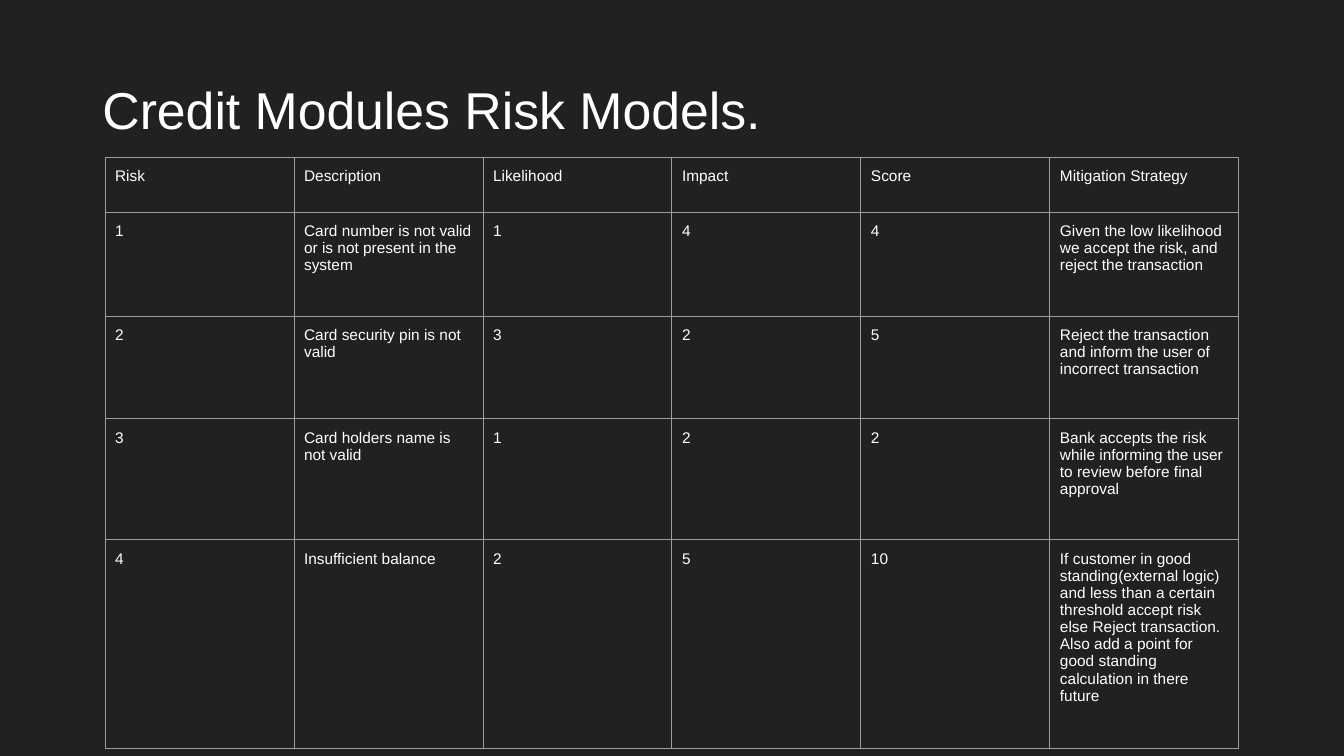
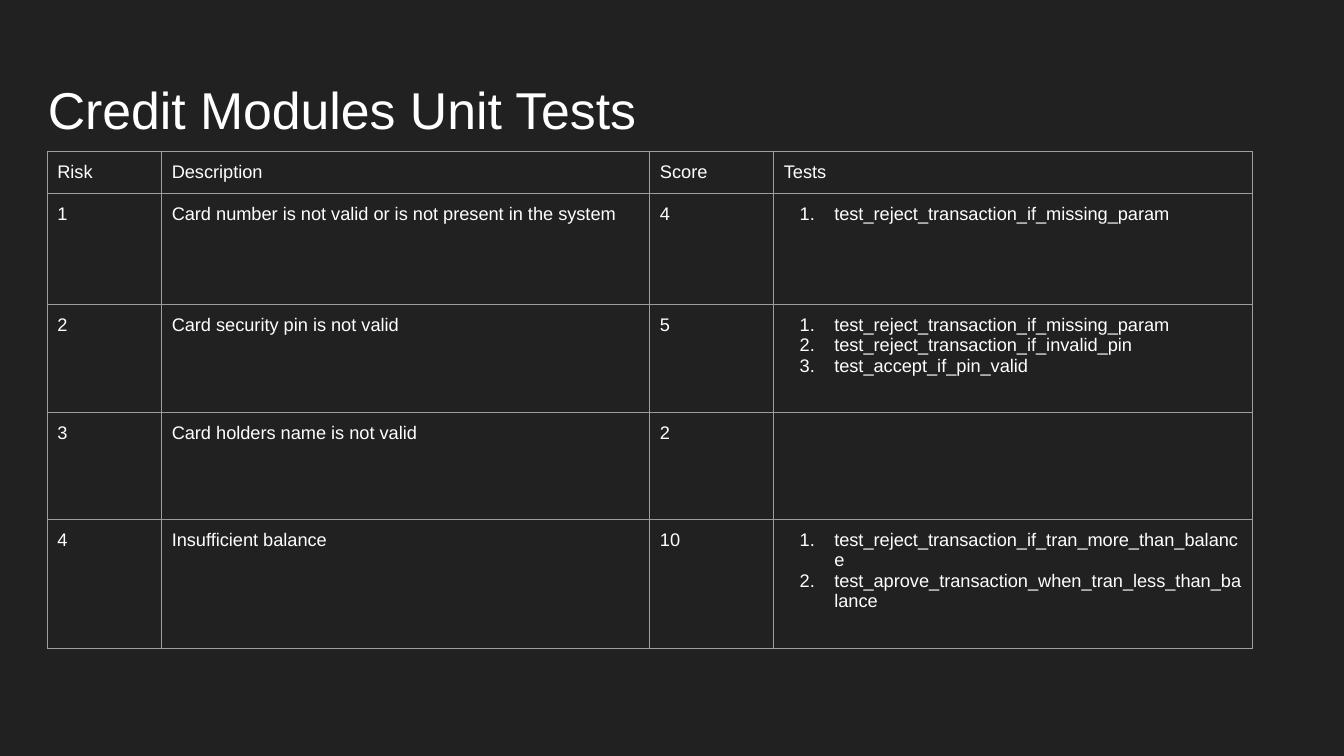
from dataclasses import dataclass

from lxml.etree import SubElement
from pptx import Presentation
from pptx.dml.color import RGBColor
from pptx.enum.text import MSO_ANCHOR, PP_ALIGN
from pptx.oxml.ns import qn
from pptx.util import Emu, Pt

EMU_PER_PX = 9525
TITLE_ONLY_LAYOUT = 5


@dataclass(frozen=True)
class Theme:
    background: str = "212121"
    text: str = "FFFFFF"
    border: str = "9E9E9E"
    font: str = "Arial"
    title_size: int = 37
    border_width: float = 0.75
    cell_margin: int = 10
    list_margin: int = 48
    list_hanging: int = 33


THEME = Theme()

RISK_ROWS = [
    ["Risk", "Description", "Likelihood", "Impact", "Score", "Mitigation Strategy"],
    ["1", "Card number is not valid or is not present in the system", "1", "4", "4",
     "Given the low likelihood we accept the risk, and reject the transaction"],
    ["2", "Card security pin is not valid", "3", "2", "5",
     "Reject the transaction and inform the user of incorrect transaction"],
    ["3", "Card holders name is not valid", "1", "2", "2",
     "Bank accepts the risk while informing the user to review before final approval"],
    ["4", "Insufficient balance", "2", "5", "10",
     "If customer in good standing(external logic) and less than a certain threshold "
     "accept risk else Reject transaction. Also add a point for good standing "
     "calculation in there future"],
]

# A list in a cell becomes a numbered list
TEST_ROWS = [
    ["Risk", "Description", "Score", "Tests"],
    ["1", "Card number is not valid or is not present in the system", "4",
     ["test_reject_transaction_if_missing_param"]],
    ["2", "Card security pin is not valid", "5",
     ["test_reject_transaction_if_missing_param",
      "test_reject_transaction_if_invalid_pin",
      "test_accept_if_pin_valid"]],
    ["3", "Card holders name is not valid", "2", ""],
    ["4", "Insufficient balance", "10",
     ["test_reject_transaction_if_tran_more_than_balance",
      "test_aprove_transaction_when_tran_less_than_balance"]],
]


def px(length):
    return Emu(length * EMU_PER_PX)


def set_font(para, size):
    para.font.name = THEME.font
    para.font.size = Pt(size)
    para.font.bold = False
    para.font.color.rgb = RGBColor.from_string(THEME.text)


def add_color(parent, color):
    SubElement(SubElement(parent, qn("a:solidFill")), qn("a:srgbClr"), val=color)


def add_page(deck, title, left):
    """Add a page with its title at the given left edge."""
    page = deck.slides.add_slide(deck.slide_layouts[TITLE_ONLY_LAYOUT])
    box = page.shapes.title
    box.left, box.top, box.width, box.height = px(left), px(38), px(1104), px(139)
    box.text_frame.text = title
    box.text_frame.vertical_anchor = MSO_ANCHOR.MIDDLE
    para = box.text_frame.paragraphs[0]
    para.alignment = PP_ALIGN.LEFT
    para.line_spacing = 0.9
    set_font(para, THEME.title_size)
    return page


def number_paragraph(para):
    properties = para._p.get_or_add_pPr()
    properties.set("marL", str(px(THEME.list_margin)))
    properties.set("indent", str(-px(THEME.list_hanging)))
    bullet_color = SubElement(properties, qn("a:buClr"))
    SubElement(bullet_color, qn("a:srgbClr"), val=THEME.text)
    SubElement(properties, qn("a:buAutoNum"), type="arabicPeriod")


def outline_cell(cell):
    properties = cell._tc.get_or_add_tcPr()
    for side in ("lnL", "lnR", "lnT", "lnB"):
        line = SubElement(properties, qn(f"a:{side}"), w=str(Pt(THEME.border_width)))
        add_color(line, THEME.border)


def fill_cell(cell, content, size):
    numbered = isinstance(content, list)
    cell.text = "\n".join(content) if numbered else content
    cell.margin_top = cell.margin_bottom = px(THEME.cell_margin)
    outline_cell(cell)
    cell.fill.background()
    for para in cell.text_frame.paragraphs:
        if numbered:
            number_paragraph(para)
        set_font(para, size)


def add_grid(page, left, top, widths, heights, rows, size):
    """Add an outlined table without fills."""
    frame = page.shapes.add_table(len(heights), len(widths), px(left), px(top),
                                  px(sum(widths)), px(sum(heights)))
    table = frame.table
    table.first_row = table.horz_banding = False
    for column, width in zip(table.columns, widths):
        column.width = px(width)
    for row, height, contents in zip(table.rows, heights, rows):
        row.height = px(height)
        for cell, content in zip(row.cells, contents):
            fill_cell(cell, content, size)


def main():
    deck = Presentation()
    deck.slide_width, deck.slide_height = px(1280), px(720)
    backdrop = deck.slide_master.background.fill
    backdrop.solid()
    backdrop.fore_color.rgb = RGBColor.from_string(THEME.background)

    # Risk models
    page = add_page(deck, "Credit Modules Risk Models.", left=88)
    add_grid(page, 100, 150, [180] * 6, [52, 99, 98, 115, 199], RISK_ROWS, size=11)

    # Unit tests
    page = add_page(deck, "Credit Modules Unit Tests", left=36)
    add_grid(page, 45, 144, [109, 465, 118, 456], [40, 106, 103, 102, 123],
             TEST_ROWS, size=13)

    deck.save("out.pptx")


if __name__ == "__main__":
    main()
